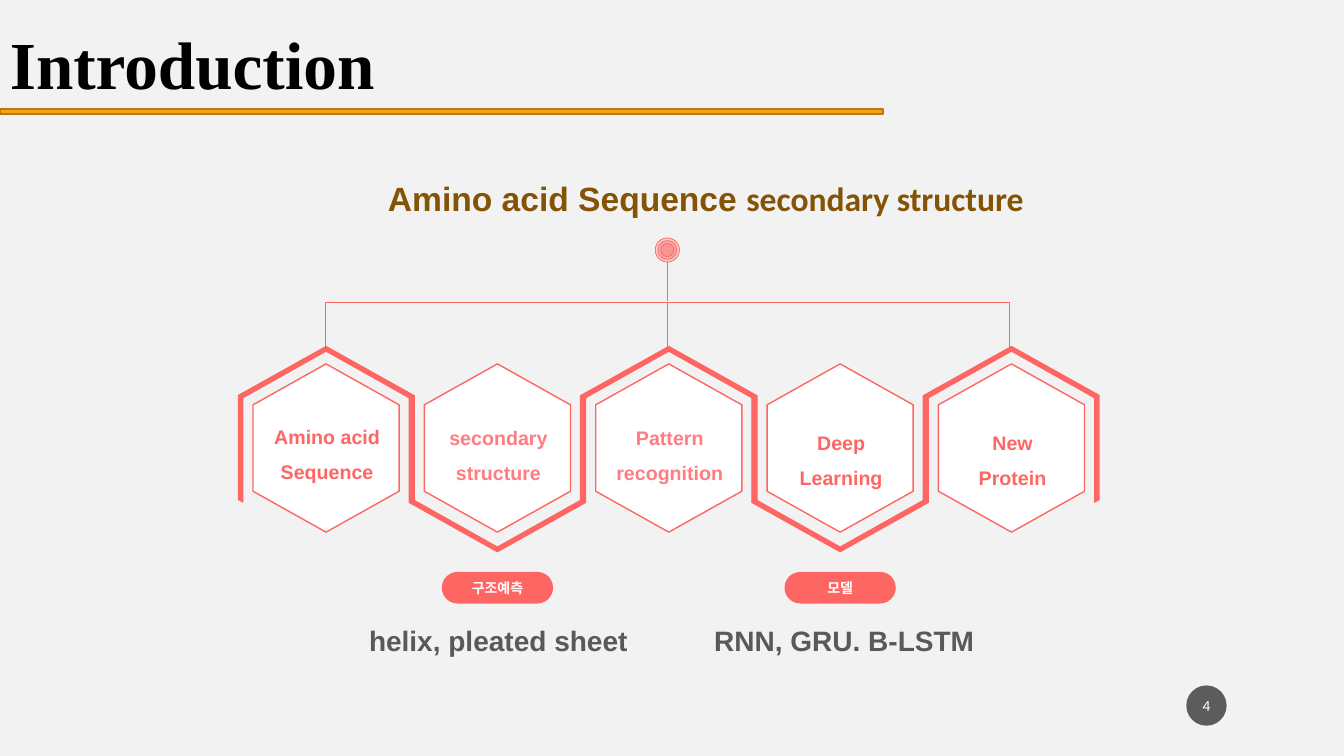
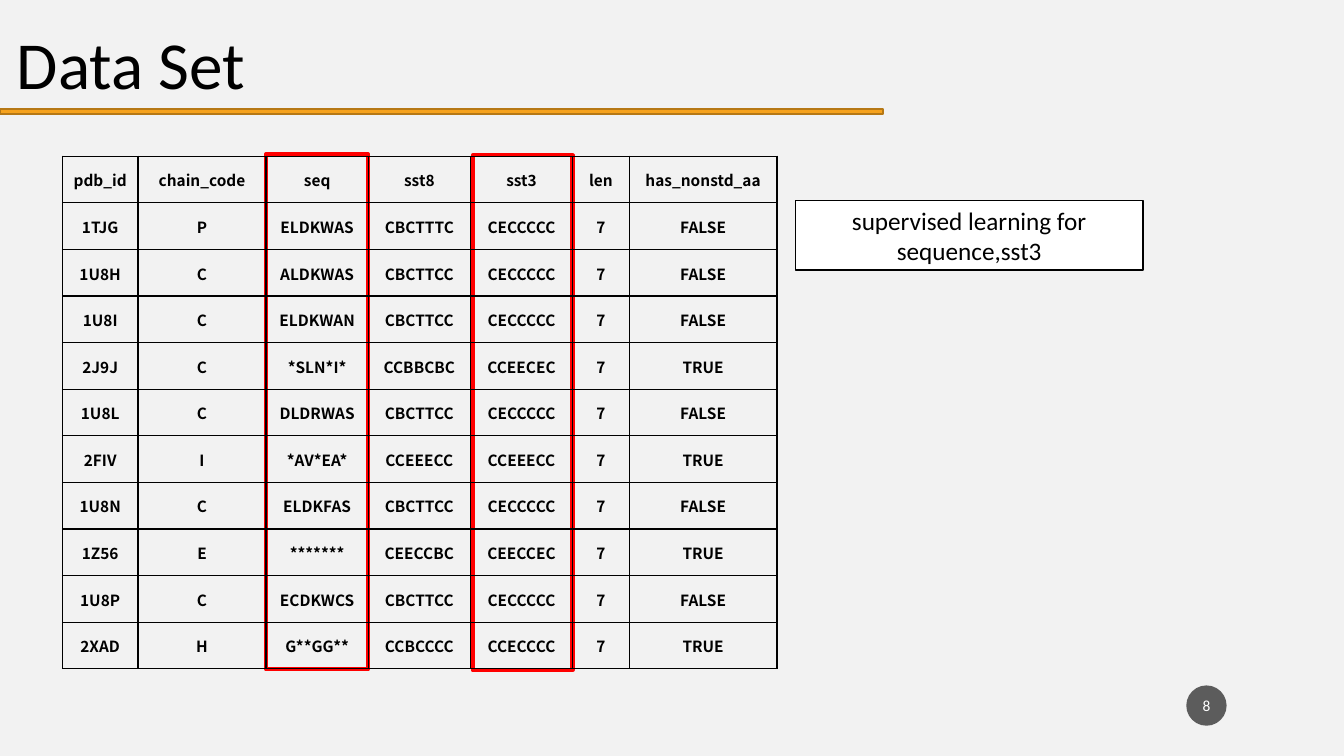
from dataclasses import dataclass
from typing import Optional

from lxml import etree
from pptx import Presentation
from pptx import util as u
from pptx.dml.color import RGBColor
from pptx.enum import shapes, text
from pptx.oxml import ns
from pptx.shapes.autoshape import Shape
from pptx.slide import Slide
from pptx.text.text import Font, TextFrame

Pt = u.Pt
KIND = shapes.MSO_SHAPE

COLORS = {
    "background": "F2F2F2",
    "badge": "1D1D1D",
    "rule": "F6A21D",
    "rule_edge": "B67815",
    "coral": "FD6662",
    "pink": "FF7C80",
    "brown": "845305",
    "gray": "595959",
    "red": "FF0000",
    "white": "FFFFFF",
    "black": "000000",
}


@dataclass(frozen=True)
class Box:
    left: float
    top: float
    width: float
    height: float

    @classmethod
    def around(cls, x: float, y: float, width: float, height: float) -> "Box":
        return cls(x - width / 2, y - height / 2, width, height)

    def points(self) -> tuple:
        return Pt(self.left), Pt(self.top), Pt(self.width), Pt(self.height)


@dataclass(frozen=True)
class TextStyle:
    size: float
    color: str
    name: str = "Arial"
    bold: bool = True
    spacing: Optional[float] = None
    centered: bool = True


@dataclass(frozen=True)
class Step:
    lines: tuple[str, ...]
    label_top: float
    color: str
    opens_up: bool


@dataclass(frozen=True)
class Detail:
    step: int
    tag: str
    caption: str
    caption_x: float


TITLE_SERIF = TextStyle(48, "black", "Times New Roman", centered=False)
TITLE_PLAIN = TextStyle(48, "black", "Calibri", bold=False, centered=False)
PAGE_NUMBER = TextStyle(11, "white", "Calibri", bold=False)
HEADING = TextStyle(24, "brown", spacing=1.5)
HEADING_TAIL = TextStyle(24, "brown", "Calibri", spacing=1.5)
CAPTION = TextStyle(20, "gray", spacing=1.5)
TAG = TextStyle(10, "white")
CALLOUT = TextStyle(18, "black", "Calibri", bold=False)
CELL = TextStyle(11, "black", "Noto Sans CJK KR")

STEPS = [
    Step(("Amino acid", "Sequence"), 291.6, "coral", True),
    Step(("secondary structure",), 292.3, "pink", False),
    Step(("Pattern recognition",), 292.3, "pink", True),
    Step(("Deep Learning",), 295.9, "coral", False),
    Step(("New Protein",), 295.9, "coral", True),
]
FIRST_STEP_X = 232.9
STEP_PITCH = 122.4
HEXAGON_Y = 320
FRAME_AXIS_Y = 320.8
FRAME_OUTLINE = [
    (0, -73.8), (63, -38.6), (63, 36.3), (59, 38.5), (59, -36.4),
    (0, -69.5), (-59, -36.4), (-59, 38.5), (-63, 36.3), (-63, -38.6),
]
DETAILS = [
    Detail(1, "구조예측", "helix, pleated sheet", 356),
    Detail(3, "모델", "RNN, GRU. B-LSTM", 603),
]
HUB_X = 476.7

COLUMN_WIDTHS = [54, 91.5, 73, 73, 73, 40.5, 105.5]
ROW_HEIGHT = 33.3
TABLE_LEFT, TABLE_TOP = 44.6, 111.6
RECORDS = [
    ("pdb_id", "chain_code", "seq", "sst8", "sst3", "len", "has_nonstd_aa"),
    ("1TJG", "P", "ELDKWAS", "CBCTTTC", "CECCCCC", "7", "FALSE"),
    ("1U8H", "C", "ALDKWAS", "CBCTTCC", "CECCCCC", "7", "FALSE"),
    ("1U8I", "C", "ELDKWAN", "CBCTTCC", "CECCCCC", "7", "FALSE"),
    ("2J9J", "C", "*SLN*I*", "CCBBCBC", "CCEECEC", "7", "TRUE"),
    ("1U8L", "C", "DLDRWAS", "CBCTTCC", "CECCCCC", "7", "FALSE"),
    ("2FIV", "I", "*AV*EA*", "CCEEECC", "CCEEECC", "7", "TRUE"),
    ("1U8N", "C", "ELDKFAS", "CBCTTCC", "CECCCCC", "7", "FALSE"),
    ("1Z56", "E", "*******", "CEECCBC", "CEECCEC", "7", "TRUE"),
    ("1U8P", "C", "ECDKWCS", "CBCTTCC", "CECCCCC", "7", "FALSE"),
    ("2XAD", "H", "G**GG**", "CCBCCCC", "CCECCCC", "7", "TRUE"),
]
HIGHLIGHTS = [Box(337.7, 110.9, 71.3, 367.9), Box(190.1, 110.2, 72.7, 367.9)]


def rgb(color: str) -> RGBColor:
    return RGBColor.from_string(COLORS[color])


def style_font(font: Font, style: TextStyle) -> None:
    font.name = style.name
    font.size = Pt(style.size)
    font.bold = style.bold
    font.color.rgb = rgb(style.color)


def write(frame: TextFrame, lines: tuple[str, ...], style: TextStyle) -> None:
    for index, line in enumerate(lines):
        paragraph = frame.add_paragraph() if index else frame.paragraphs[0]
        paragraph.text = line
        paragraph.alignment = text.PP_ALIGN.CENTER if style.centered else text.PP_ALIGN.LEFT
        if style.spacing:
            paragraph.line_spacing = style.spacing
        style_font(paragraph.font, style)


def add_label(slide: Slide, box: Box, lines: tuple[str, ...], style: TextStyle,
              wrap: bool = True) -> TextFrame:
    frame = slide.shapes.add_textbox(*box.points()).text_frame
    frame.word_wrap = wrap
    frame.auto_size = text.MSO_AUTO_SIZE.SHAPE_TO_FIT_TEXT
    write(frame, lines, style)
    return frame


def paint(shape: Shape, fill: Optional[str], line: Optional[str],
          weight: float = 1, opacity: int = 100) -> None:
    shape.shadow.inherit = False
    if fill:
        shape.fill.solid()
        shape.fill.fore_color.rgb = rgb(fill)
        if opacity < 100:
            tint = shape.fill._xPr.find(".//" + ns.qn("a:srgbClr"))
            etree.SubElement(tint, ns.qn("a:alpha"), val=str(opacity * 1000))
    else:
        shape.fill.background()
    if line:
        shape.line.color.rgb = rgb(line)
        shape.line.width = Pt(weight)
    else:
        shape.line.fill.background()


def add_figure(slide: Slide, kind: KIND, box: Box, fill: Optional[str], line: Optional[str],
               weight: float = 1, opacity: int = 100) -> Shape:
    figure = slide.shapes.add_shape(kind, *box.points())
    paint(figure, fill, line, weight, opacity)
    return figure


def write_inside(figure: Shape, words: str, style: TextStyle) -> None:
    frame = figure.text_frame
    frame.word_wrap = True
    frame.vertical_anchor = text.MSO_ANCHOR.MIDDLE
    write(frame, (words,), style)


def add_page(deck: Presentation, title: str, style: TextStyle, title_box: Box,
             number: int) -> Slide:
    slide = deck.slides.add_slide(deck.slide_layouts[6])
    slide.background.fill.solid()
    slide.background.fill.fore_color.rgb = rgb("background")
    badge = add_figure(slide, KIND.OVAL, Box(847.4, 489.6, 28.8, 28.8), "badge", None, opacity=70)
    badge.text_frame.margin_left = badge.text_frame.margin_right = Pt(1.4)
    write_inside(badge, str(number), PAGE_NUMBER)
    add_figure(slide, KIND.RECTANGLE, Box(0, 77.8, 630.7, 3.6), "rule", "rule_edge")
    add_label(slide, title_box, (title,), style, wrap=False)
    return slide


def add_frame(slide: Slide, x: float, opens_up: bool) -> None:
    direction = 1 if opens_up else -1
    outline = [(Pt(x + dx), Pt(FRAME_AXIS_Y + direction * dy)) for dx, dy in FRAME_OUTLINE]
    builder = slide.shapes.build_freeform(*outline[0], scale=1.0)
    builder.add_line_segments(outline[1:], close=True)
    paint(builder.convert_to_shape(), "coral", None)


def add_step(slide: Slide, x: float, step: Step) -> None:
    add_frame(slide, x, step.opens_up)
    hexagon = add_figure(slide, KIND.HEXAGON, Box.around(x, HEXAGON_Y, 120.2, 104.4),
                         "white", "coral")
    hexagon.adjustments[0] = 0.28
    hexagon.rotation = 270
    add_label(slide, Box(x - 46.4, step.label_top, 94.3, 54.7), step.lines,
              TextStyle(14, step.color, spacing=1.5))


def add_hub(slide: Slide) -> None:
    for x in (354.6, 598.7):
        bracket = add_figure(slide, KIND.LEFT_BRACKET, Box.around(x, 232.2, 32.4, 244.1),
                             None, "coral", 0.5)
        bracket.adjustments[0] = 0
        bracket.rotation = 90
    for diameter in (17.3, 13.5, 9.4):
        add_figure(slide, KIND.OVAL, Box.around(HUB_X, 178.6, diameter, diameter),
                   "coral", "coral", 0.5, 30)
    stem = slide.shapes.add_connector(shapes.MSO_CONNECTOR.STRAIGHT,
                                      Pt(HUB_X), Pt(187.2), Pt(HUB_X), Pt(215.3))
    stem.line.color.rgb = rgb("coral")
    stem.line.width = Pt(0.5)
    etree.SubElement(stem._element.spPr, ns.qn("a:effectLst"))


def build_introduction(deck: Presentation) -> None:
    slide = add_page(deck, "Introduction", TITLE_SERIF, Box(0, 12.2, 278.6, 65.5), 4)
    centers = [FIRST_STEP_X + STEP_PITCH * index for index in range(len(STEPS))]
    for x, step in zip(centers, STEPS):
        add_step(slide, x, step)
    for detail in DETAILS:
        add_label(slide, Box(detail.caption_x - 109, 429.8, 218, 38.9), (detail.caption,), CAPTION)
        pill = add_figure(slide, KIND.ROUNDED_RECTANGLE,
                          Box.around(centers[detail.step], 419.8, 78.5, 21.6), "coral", "coral")
        pill.adjustments[0] = 0.5
        write_inside(pill, detail.tag, TAG)
    add_hub(slide)
    heading = add_label(slide, Box(252.5, 109.4, 503.3, 45.4), ("Amino acid Sequence ",), HEADING)
    tail = heading.paragraphs[0].add_run()
    tail.text = "secondary structure"
    style_font(tail.font, HEADING_TAIL)


def add_borders(cell) -> None:
    properties = cell._tc.get_or_add_tcPr()
    for position, side in enumerate(("lnL", "lnR", "lnT", "lnB")):
        border = etree.Element(ns.qn("a:" + side), w=str(Pt(1)))
        fill = etree.SubElement(border, ns.qn("a:solidFill"))
        etree.SubElement(fill, ns.qn("a:srgbClr"), val=COLORS["black"])
        properties.insert(position, border)


def add_records(slide: Slide) -> None:
    box = Box(TABLE_LEFT, TABLE_TOP, sum(COLUMN_WIDTHS), ROW_HEIGHT * len(RECORDS))
    table = slide.shapes.add_table(len(RECORDS), len(COLUMN_WIDTHS), *box.points()).table
    table.first_row = table.horz_banding = False
    for column, width in zip(table.columns, COLUMN_WIDTHS):
        column.width = Pt(width)
    for row, record in zip(table.rows, RECORDS):
        row.height = Pt(ROW_HEIGHT)
        for cell, value in zip(row.cells, record):
            cell.fill.background()
            cell.vertical_anchor = text.MSO_ANCHOR.MIDDLE
            cell.margin_left = cell.margin_right = cell.margin_top = Pt(0.7)
            cell.margin_bottom = Pt(0)
            write(cell.text_frame, (value,), CELL)
            add_borders(cell)


def build_data_set(deck: Presentation) -> None:
    slide = add_page(deck, "Data Set", TITLE_PLAIN, Box(5, 12.2, 183.6, 65.5), 8)
    for box in HIGHLIGHTS:
        add_figure(slide, KIND.RECTANGLE, box, None, "red", 3)
    callout = add_figure(slide, KIND.RECTANGLE, Box(568.1, 143.3, 248.4, 49.7), "white", "black")
    write_inside(callout, "supervised learning for sequence,sst3", CALLOUT)
    add_records(slide)


def main() -> None:
    deck = Presentation()
    deck.slide_width, deck.slide_height = Pt(960), Pt(540)
    build_introduction(deck)
    build_data_set(deck)
    deck.save("out.pptx")


if __name__ == "__main__":
    main()
